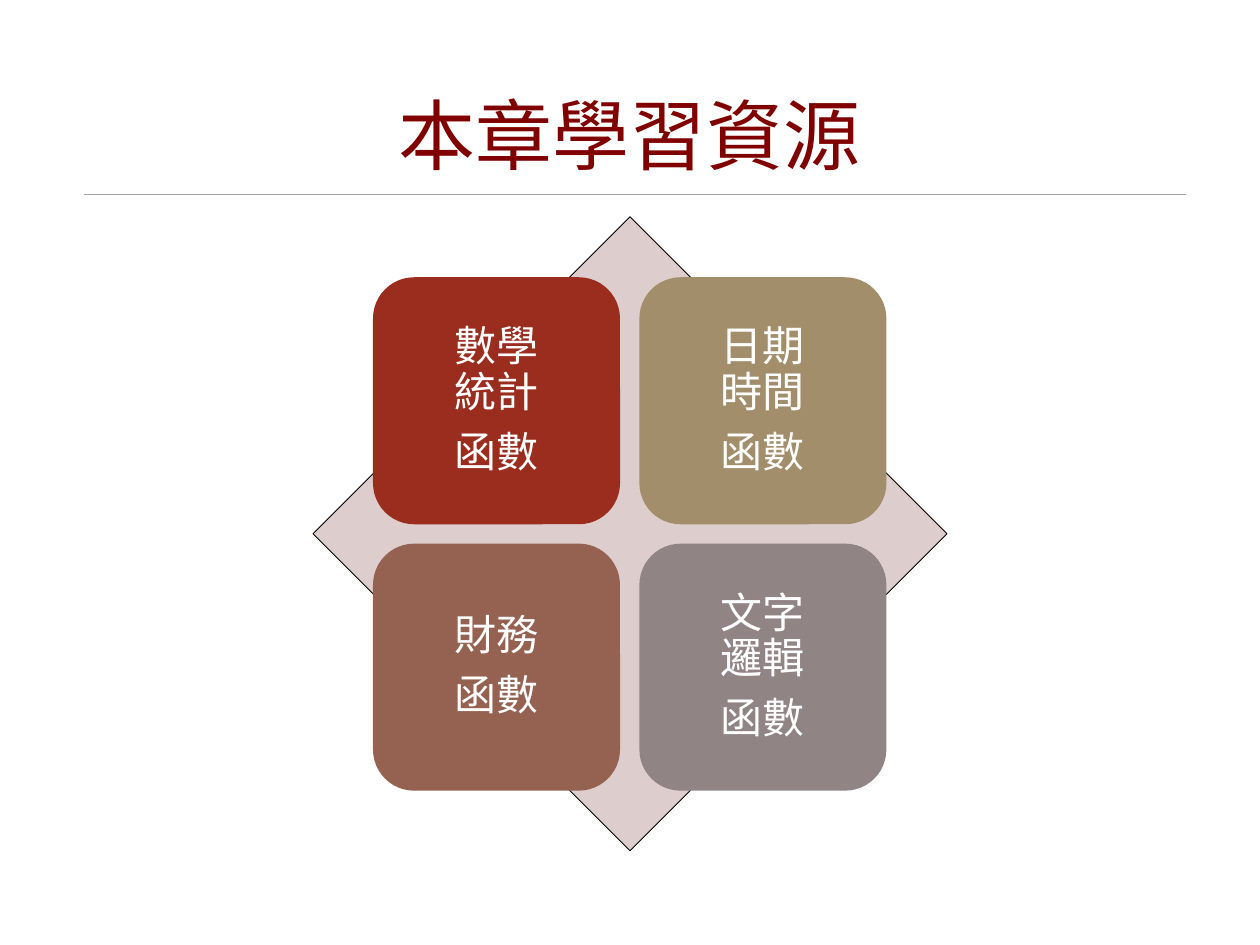
from pptx import Presentation
from pptx.dml.color import RGBColor
from pptx.enum import shapes, text
from pptx.oxml import parse_xml
from pptx.oxml.ns import nsdecls
from pptx.util import Cm, Pt

FONT = "Times New Roman"
TILE_SIZE = 4.98
TILE_PITCH = 5.37
GRID_LEFT, GRID_TOP = 7.52, 5.59
TOPICS = [
    ("數學\v統計", "9B2D1F"),
    ("日期\v時間", "A28E6A"),
    ("財務", "956251"),
    ("文字\v邏輯", "918485"),
]


def color(value):
    return RGBColor.from_string(value)


def write(frame, lines, size, ink, space_after=0):
    frame.word_wrap = True
    frame.vertical_anchor = text.MSO_ANCHOR.MIDDLE
    for index, line in enumerate(lines):
        paragraph = frame.add_paragraph() if index else frame.paragraphs[0]
        paragraph.text = line
        paragraph.alignment = text.PP_ALIGN.CENTER
        paragraph.line_spacing = 0.9
        paragraph.space_after = Pt(space_after)
        paragraph.font.name = FONT
        paragraph.font.size = Pt(size)
        paragraph.font.color.rgb = color(ink)


def add_title(slide, title):
    heading = slide.shapes.add_textbox(Cm(1.75), Cm(1.35), Cm(21.9), Cm(2.92))
    write(heading.text_frame, [title], 44, "800000")


def add_rule(slide, left, right, y):
    rule = slide.shapes.add_connector(
        shapes.MSO_CONNECTOR.STRAIGHT, Cm(left), Cm(y), Cm(right), Cm(y))
    rule.line.color.rgb = color("A6A6A6")
    rule.line.width = Pt(0.5)
    rule._element.spPr.append(parse_xml(f"<a:effectLst {nsdecls('a')}/>"))


def add_square(slide, kind, left, top, size, fill, outline=None):
    square = slide.shapes.add_shape(kind, Cm(left), Cm(top), Cm(size), Cm(size))
    square.shadow.inherit = False
    square.fill.solid()
    square.fill.fore_color.rgb = color(fill)
    if outline:
        square.line.color.rgb = color(outline)
        square.line.width = Pt(0.5)
    else:
        square.line.fill.background()
    return square


def add_topics(slide):
    for index, (topic, fill) in enumerate(TOPICS):
        row, column = divmod(index, 2)
        tile = add_square(
            slide, shapes.MSO_SHAPE.ROUNDED_RECTANGLE,
            GRID_LEFT + column * TILE_PITCH, GRID_TOP + row * TILE_PITCH,
            TILE_SIZE, fill)
        write(tile.text_frame, [topic, "函數"], 24, "FFFFFF", 8.4)


def main():
    deck = Presentation()
    deck.slide_width, deck.slide_height = Cm(25.4), Cm(19.05)
    slide = deck.slides.add_slide(deck.slide_layouts[6])
    add_rule(slide, 1.7, 23.9, 3.92)
    add_title(slide, "本章學習資源")
    add_square(slide, shapes.MSO_SHAPE.DIAMOND, 6.31, 4.37, 12.78, "DECDCD", "000000")
    add_topics(slide)
    deck.save("out.pptx")


main()
